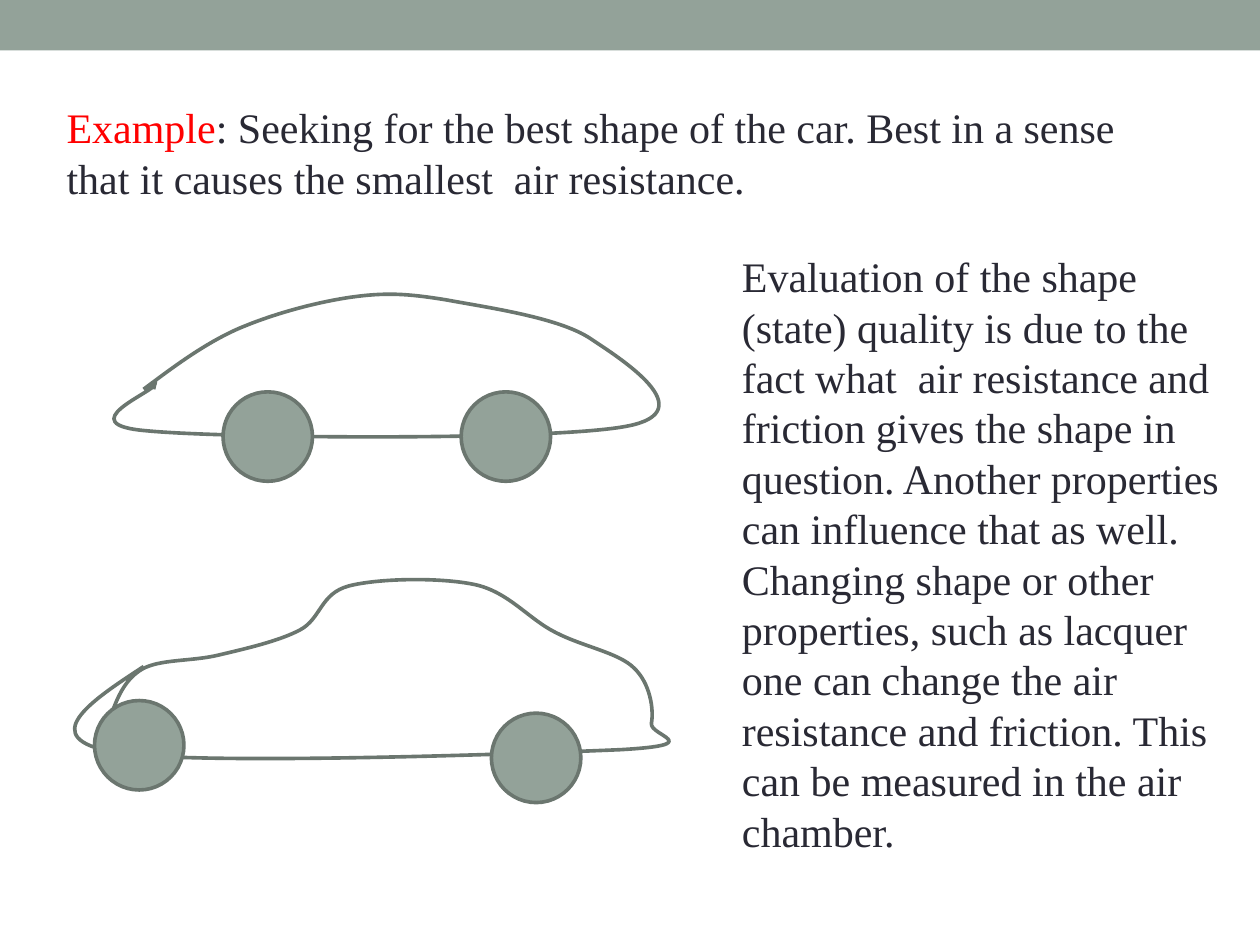
from lxml import etree
from pptx import Presentation
from pptx.dml.color import RGBColor
from pptx.enum.shapes import MSO_SHAPE
from pptx.oxml.ns import qn
from pptx.util import Inches, Pt

RECTANGLE, OVAL = MSO_SHAPE.RECTANGLE, MSO_SHAPE.OVAL
COLORS = {"sage": "93A299", "outline": "6B766F", "ink": "292934", "accent": "FF0000"}
WIDTH, HEIGHT = 10, 7.5
BAND_HEIGHT = 0.4
WHEEL_SIZE = 0.71
LINE_WIDTH = 2.07
UNITS_PER_INCH = 100
FONT = {"name": "Times New Roman", "size": Pt(24)}
LINE_SPACING = Pt(28.8)

TEXTS = [
    {"box": (0.43, 0.76, 8.82, 0.9), "runs": [
        ("Example", "accent"),
        (": Seeking for the best shape of the car. Best in a sense that it causes "
         "the smallest  air resistance.", "ink")]},
    {"box": (5.79, 1.94, 4.1, 4.9), "runs": [
        ("Evaluation of the shape (state) quality is due to the fact what  air resistance "
         "and friction gives the shape in question. Another properties can influence that "
         "as well. Changing shape or other properties, such as lacquer one can change the "
         "air resistance and friction. This can be measured in the air chamber.", "ink")]},
]

# Each body is a start point, then Bezier segments: two control points and an end point.
CARS = [
    {"box": (0.9, 2.33, 4.33, 1.14), "start": (1.14, 3.09),
     "wheels": [(1.77, 3.11), (3.66, 3.11)], "grouped": True,
     "curves": [
         ((1.38, 2.91), (1.62, 2.73), (1.89, 2.61)),
         ((2.17, 2.49), (2.51, 2.4), (2.78, 2.36)),
         ((3.06, 2.32), (3.23, 2.33), (3.54, 2.38)),
         ((3.86, 2.44), (4.44, 2.52), (4.69, 2.69)),
         ((4.93, 2.85), (5.58, 3.26), (4.99, 3.38)),
         ((4.41, 3.5), (1.79, 3.48), (1.17, 3.42)),
         ((0.54, 3.37), (1.23, 3.11), (1.23, 3.05)),
         ((1.24, 3), (1.23, 3.04), (1.22, 3.09))]},
    {"box": (0.59, 4.6, 4.72, 1.42), "start": (0.88, 5.68),
     "wheels": [(0.75, 5.56), (3.9, 5.66)], "grouped": False,
     "curves": [
         ((0.93, 5.54), (0.99, 5.39), (1.13, 5.31)),
         ((1.27, 5.23), (1.52, 5.25), (1.73, 5.2)),
         ((1.94, 5.15), (2.21, 5.09), (2.38, 5)),
         ((2.55, 4.91), (2.54, 4.71), (2.77, 4.65)),
         ((3, 4.59), (3.49, 4.58), (3.77, 4.64)),
         ((4.04, 4.7), (4.19, 4.91), (4.41, 5.02)),
         ((4.62, 5.13), (4.91, 5.18), (5.03, 5.3)),
         ((5.16, 5.42), (5.19, 5.63), (5.17, 5.74)),
         ((5.15, 5.84), (5.63, 5.91), (4.92, 5.95)),
         ((4.21, 5.98), (1.54, 6.08), (0.91, 5.97)),
         ((0.28, 5.86), (0.71, 5.57), (1.14, 5.29))]},
]


def color(name):
    return RGBColor.from_string(COLORS[name])


def style(shape, fill=None, line=None):
    shape.shadow.inherit = False
    for part, name in ((shape.fill, fill), (shape.line.fill, line)):
        if name:
            part.solid()
            part.fore_color.rgb = color(name)
        else:
            part.background()
    if line:
        shape.line.width = Pt(LINE_WIDTH)


def add_body(shapes, car):
    """Span the box with a freeform, then give its outline the Bezier segments."""
    left, top, width, height = (round(side * UNITS_PER_INCH) for side in car["box"])
    builder = shapes.build_freeform(left, top, scale=Inches(1) / UNITS_PER_INCH)
    builder.add_line_segments([(left + width, top + height)], close=False)
    body = builder.convert_to_shape()
    outline = next(body.element.iter(qn("a:path")))
    for segment in list(outline):
        outline.remove(segment)
    segments = [("a:moveTo", [car["start"]])]
    segments += [("a:cubicBezTo", points) for points in car["curves"]]
    for tag, points in segments:
        segment = etree.SubElement(outline, qn(tag))
        for x, y in points:
            etree.SubElement(segment, qn("a:pt"),
                             x=str(round(x * UNITS_PER_INCH) - left),
                             y=str(round(y * UNITS_PER_INCH) - top))
    style(body, line="outline")


def add_car(slide, car):
    shapes = slide.shapes.add_group_shape().shapes if car["grouped"] else slide.shapes
    add_body(shapes, car)
    for left, top in car["wheels"]:
        box = (left, top, WHEEL_SIZE, WHEEL_SIZE)
        style(shapes.add_shape(OVAL, *map(Inches, box)), "sage", "outline")


def add_text(slide, text):
    frame = slide.shapes.add_textbox(*map(Inches, text["box"])).text_frame
    frame.word_wrap = True
    paragraph = frame.paragraphs[0]
    paragraph.line_spacing = LINE_SPACING
    for words, color_name in text["runs"]:
        run = paragraph.add_run()
        run.text = words
        for attribute, value in FONT.items():
            setattr(run.font, attribute, value)
        run.font.color.rgb = color(color_name)


def main():
    presentation = Presentation()
    presentation.slide_width, presentation.slide_height = Inches(WIDTH), Inches(HEIGHT)
    slide = presentation.slides.add_slide(presentation.slide_layouts[6])
    band = slide.shapes.add_shape(RECTANGLE, 0, 0, Inches(WIDTH), Inches(BAND_HEIGHT))
    style(band, "sage")
    heading, explanation = TEXTS
    add_text(slide, heading)
    for car in CARS:
        add_car(slide, car)
    add_text(slide, explanation)
    presentation.save("out.pptx")


if __name__ == "__main__":
    main()
